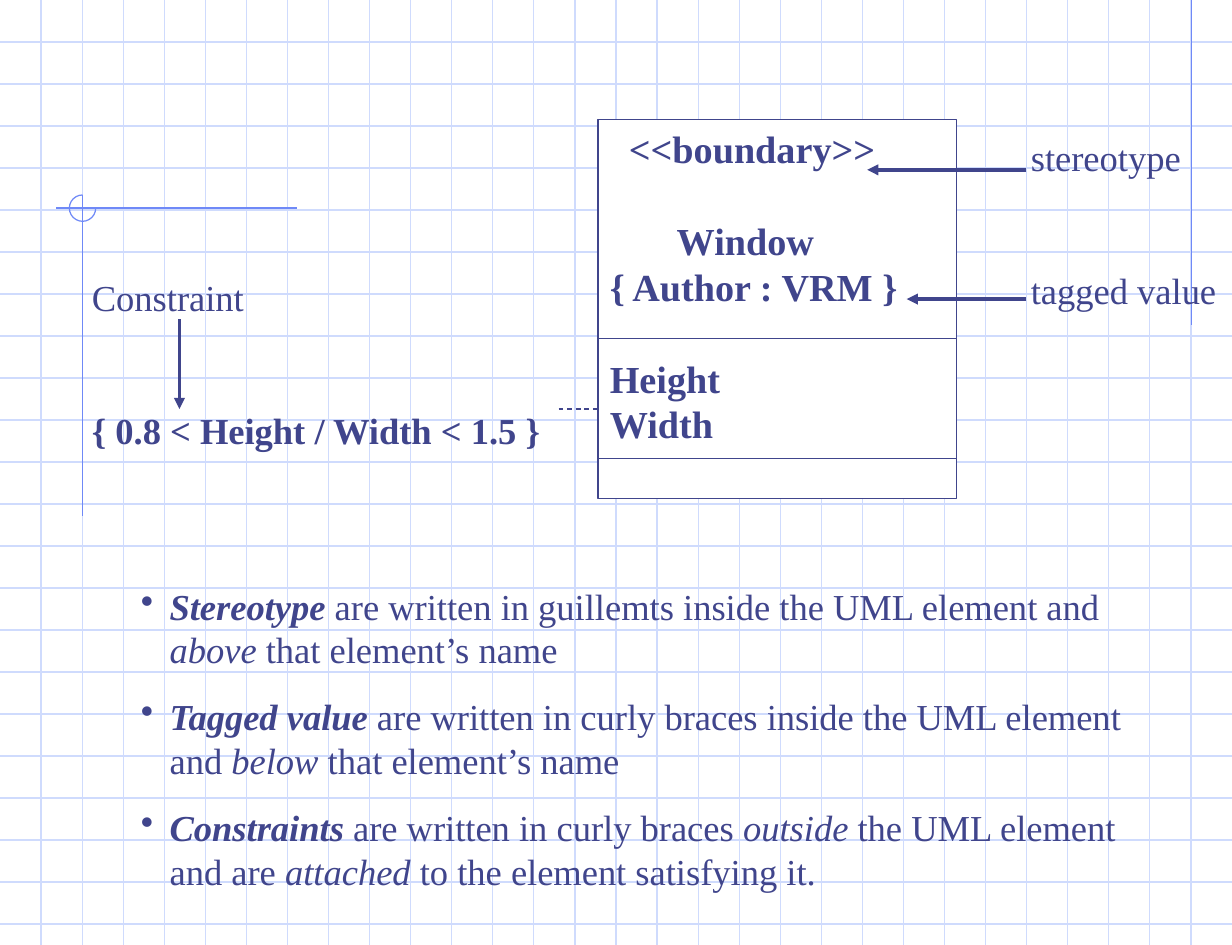
from dataclasses import dataclass

from lxml import etree
from pptx import Presentation
from pptx.dml import color
from pptx.enum import dml, shapes, text
from pptx.oxml import ns
from pptx.util import Inches, Pt

WIDTH, HEIGHT = 10.3, 7.9
COLUMNS, ROWS = 30, 22.5
INK, GRID, ACCENT = "40458C", "CFDBFD", "6F89F7"
FONT = "Times New Roman"
NOTE_SIZE, CLASS_SIZE = 22, 23
NOTE_PITCH, CLASS_PITCH = 26.35, 27.6
NOTE_GAP = 13.8
SKIPPED_LINE = NOTE_PITCH + 2 * NOTE_GAP


@dataclass
class Line:
    x1: float
    y1: float
    x2: float
    y2: float
    tint: str = INK
    weight: float = 0.75
    arrow: bool = False
    dashed: bool = False


@dataclass
class Span:
    words: str
    bold: bool = False
    italic: bool = False


@dataclass
class Para:
    spans: list[Span]
    before: float = 0
    indent: float = 0
    bullet: bool = False


@dataclass
class Label:
    left: float
    top: float
    width: float
    height: float
    paras: list[Para]


def rgb(value: str) -> color.RGBColor:
    return color.RGBColor.from_string(value)


def add_element(parent, tag: str, **attributes: str):
    return etree.SubElement(parent, ns.qn(tag), **attributes)


def draw_line(page, line: Line) -> None:
    connector = page.shapes.add_connector(
        shapes.MSO_CONNECTOR.STRAIGHT,
        Inches(line.x1), Inches(line.y1), Inches(line.x2), Inches(line.y2))
    connector.line.color.rgb = rgb(line.tint)
    connector.line.width = Pt(line.weight)
    if line.dashed:
        connector.line.dash_style = dml.MSO_LINE.DASH
    if line.arrow:
        add_element(connector.line._get_or_add_ln(), "a:tailEnd", type="triangle")
    add_element(connector._element.spPr, "a:effectLst")


def write(frame, paras: list[Para], size: float, pitch: float) -> None:
    frame.word_wrap = True
    frame.vertical_anchor = text.MSO_ANCHOR.TOP
    for index, para in enumerate(paras):
        paragraph = frame.add_paragraph() if index else frame.paragraphs[0]
        properties = paragraph._p.get_or_add_pPr()
        properties.set("marL", str(Inches(para.indent)))
        if para.bullet:
            properties.set("indent", str(-Inches(para.indent)))
            tint = add_element(properties, "a:buClr")
            add_element(tint, "a:srgbClr", val=INK)
            add_element(properties, "a:buChar", char="•")
        paragraph.alignment = text.PP_ALIGN.LEFT
        paragraph.line_spacing = Pt(pitch)
        paragraph.space_before = Pt(para.before)
        for span in para.spans:
            run = paragraph.add_run()
            run.text = span.words
            run.font.name = FONT
            run.font.size = Pt(size)
            run.font.bold = span.bold
            run.font.italic = span.italic
            run.font.color.rgb = rgb(INK)


def draw_label(page, label: Label) -> None:
    box = page.shapes.add_textbox(
        Inches(label.left), Inches(label.top), Inches(label.width), Inches(label.height))
    write(box.text_frame, label.paras, NOTE_SIZE, NOTE_PITCH)


def draw_background(page) -> None:
    for row in range(1, int(ROWS) + 1):
        y = row * HEIGHT / ROWS
        draw_line(page, Line(0, y, WIDTH, y, GRID))
    for column in range(1, COLUMNS):
        x = column * WIDTH / COLUMNS
        draw_line(page, Line(x, 0, x, HEIGHT, GRID))
    for line in (Line(9.96, 0, 9.96, 2.72, ACCENT),
                 Line(2.48, 1.74, 0.47, 1.74, ACCENT),
                 Line(0.69, 1.63, 0.69, 4.31, ACCENT)):
        draw_line(page, line)
    arc = page.shapes.add_shape(
        shapes.MSO_SHAPE.ARC, Inches(0.58), Inches(1.63), Inches(0.22), Inches(0.22))
    arc.adjustments[0] = 0
    arc.adjustments[1] = 162
    arc.shadow.inherit = False
    arc.fill.background()
    arc.line.color.rgb = rgb(ACCENT)
    arc.line.width = Pt(0.75)


def draw_class(page) -> None:
    box = page.shapes.add_shape(
        shapes.MSO_SHAPE.RECTANGLE, Inches(5), Inches(1), Inches(3), Inches(3.17))
    box.shadow.inherit = False
    box.fill.solid()
    box.fill.fore_color.rgb = rgb("FFFFFF")
    box.line.color.rgb = rgb(INK)
    box.line.width = Pt(0.75)
    write(box.text_frame, [
        Para([Span("<<boundary>>", bold=True)], indent=0.16),
        Para([Span("Window", bold=True)], before=CLASS_PITCH, indent=0.56),
        Para([Span("{ Author : VRM }", bold=True)]),
        Para([Span("Height", bold=True)], before=CLASS_PITCH),
        Para([Span("Width", bold=True)]),
    ], CLASS_SIZE, CLASS_PITCH)
    for y in (2.83, 3.83):
        draw_line(page, Line(5, y, 8, y))


def rule(term: str, *spans: Span, before: float = NOTE_GAP) -> Para:
    return Para([Span(term, True, True), *spans], before, 0.24, True)


LABELS = [
    Label(0.67, 2.25, 4.58, 1.58, [
        Para([Span("Constraint")]),
        Para([Span("{ 0.8 < Height / Width < 1.5 }", bold=True)], SKIPPED_LINE),
    ]),
    Label(8.52, 1.08, 1.78, 1.58, [
        Para([Span("stereotype")]),
        Para([Span("tagged value")], SKIPPED_LINE),
    ]),
    Label(1.08, 4.83, 8.67, 2.68, [
        rule("Stereotype",
             Span(" are written in guillemts inside the UML element and "),
             Span("above", italic=True), Span(" that element’s name"), before=0),
        rule("Tagged value",
             Span(" are written in curly braces inside the UML element and "),
             Span("below", italic=True), Span(" that element’s name")),
        rule("Constraints",
             Span(" are written in curly braces "), Span("outside", italic=True),
             Span(" the UML element and are "), Span("attached", italic=True),
             Span(" to the element satisfying it.")),
    ]),
]

POINTERS = [
    Line(1.5, 2.67, 1.5, 3.42, weight=2.25, arrow=True),
    Line(4.67, 3.42, 5, 3.42, dashed=True),
    Line(8.58, 1.42, 7.25, 1.42, weight=2.25, arrow=True),
    Line(8.58, 2.5, 7.58, 2.5, weight=2.25, arrow=True),
]


def main() -> None:
    deck = Presentation()
    deck.slide_width, deck.slide_height = Inches(WIDTH), Inches(HEIGHT)
    page = deck.slides.add_slide(deck.slide_layouts[6])
    draw_background(page)
    draw_class(page)
    for label in LABELS:
        draw_label(page, label)
    for pointer in POINTERS:
        draw_line(page, pointer)
    deck.save("out.pptx")


if __name__ == "__main__":
    main()
